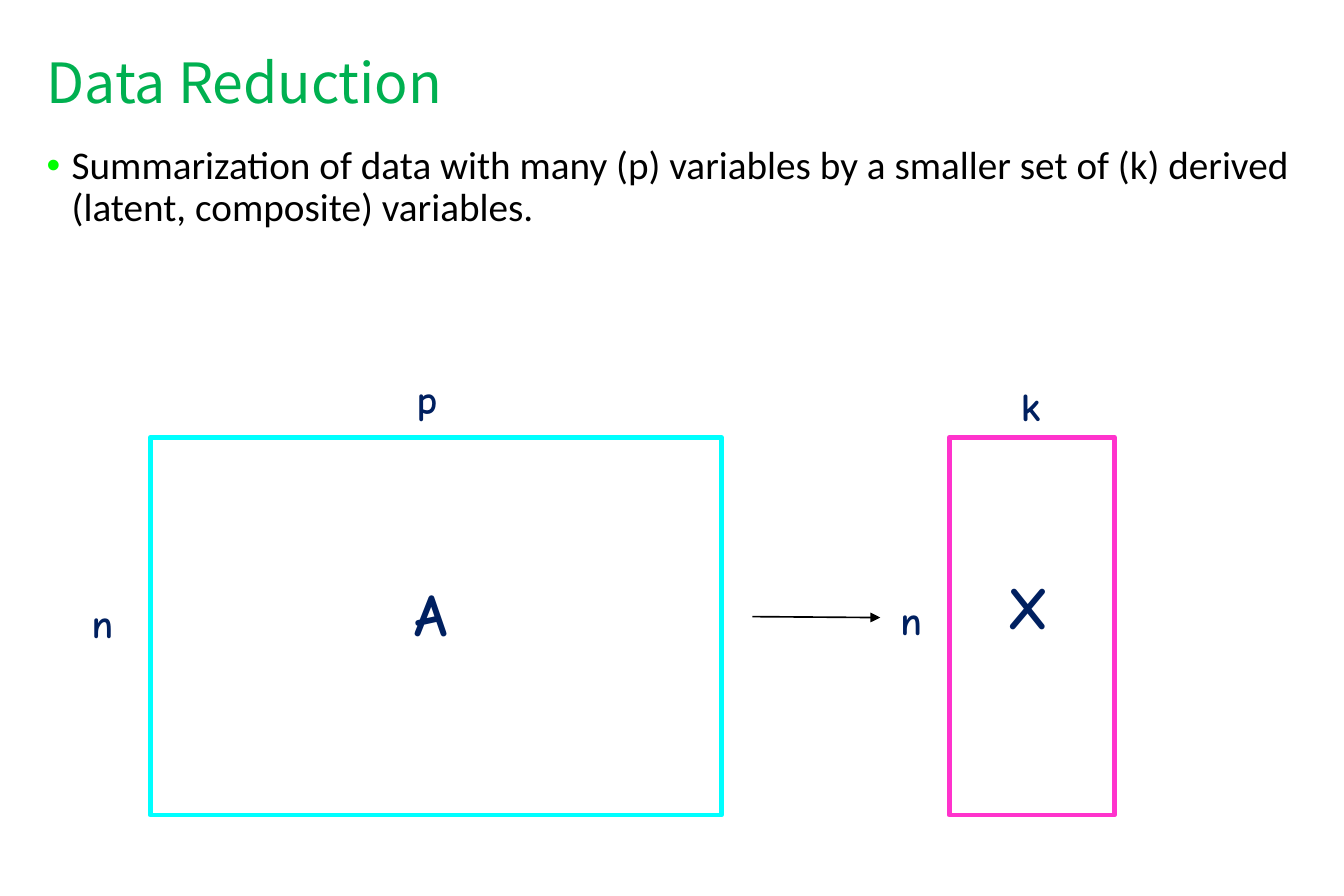
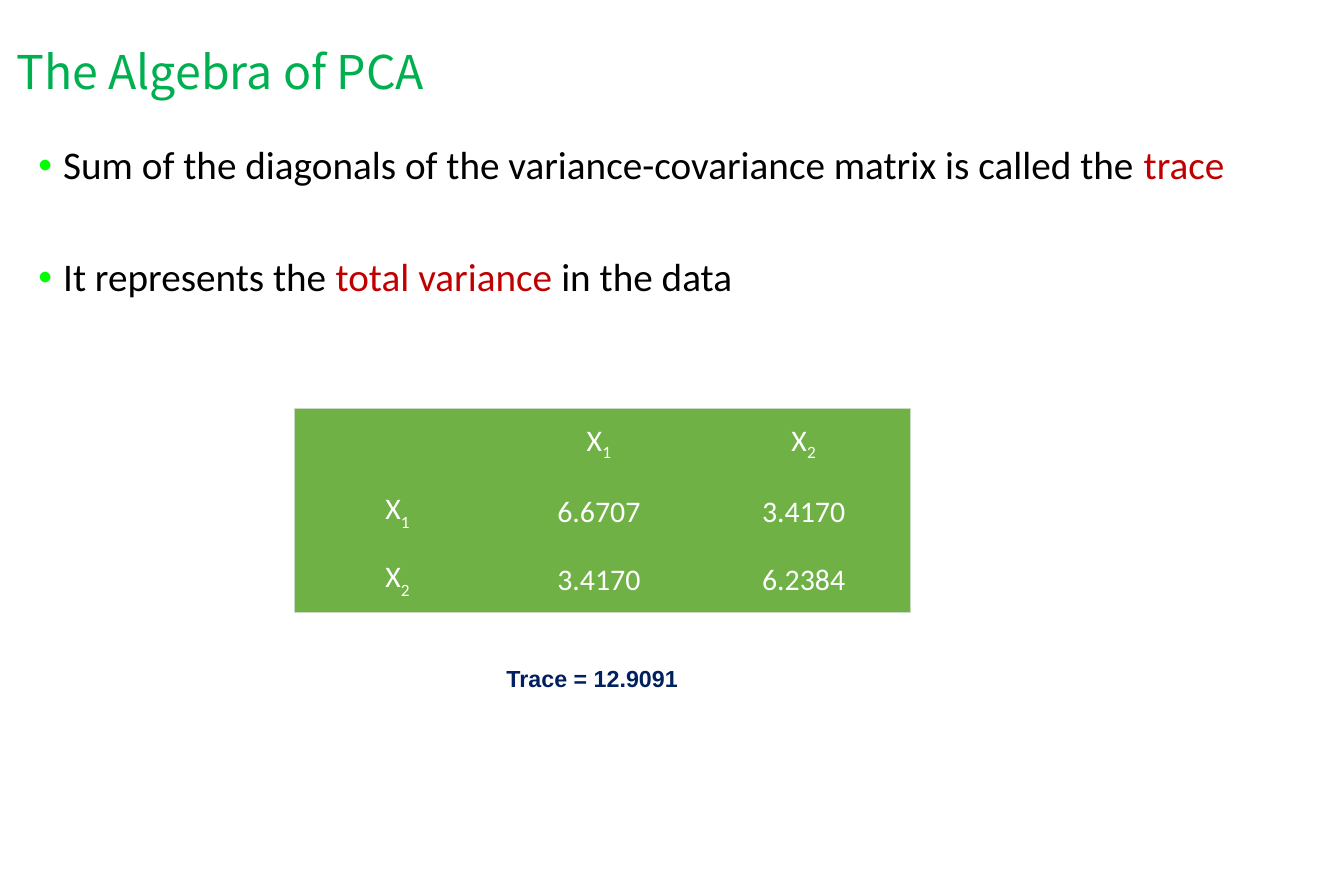
"""Build two slides on data reduction and the algebra of PCA."""
from lxml.etree import SubElement
from pptx import Presentation
from pptx.dml.color import RGBColor
from pptx.enum.shapes import MSO_CONNECTOR as Connector, MSO_SHAPE as Shape
from pptx.enum.text import MSO_ANCHOR as Anchor, MSO_AUTO_SIZE as AutoSize, PP_ALIGN as Align
from pptx.oxml import parse_xml
from pptx.oxml.ns import nsdecls, qn
from pptx.util import Cm, Pt

COLORS = {
    "title": "00B050", "bullet": "00FF00", "text": "000000", "accent": "C00000",
    "label": "002060", "data": "00FFFF", "reduced": "FF33CC",
    "table": "6FB145", "table_text": "FFFFFF", "table_edge": "C9DBC1",
}
TITLE_FONT, BODY_FONT, LABEL_FONT = "Noto Sans CJK TC", "Calibri", "Comic Neue"
BODY_SIZE = 23.6
PLAIN_TABLE = "{2D5ABB26-0587-4C30-8999-92F81FD0307C}"


def rgb(name):
    return RGBColor.from_string(COLORS[name])


def place(shape, box):
    shape.left, shape.top, shape.width, shape.height = (Cm(length) for length in box)


def add_run(paragraph, text, font, size, color, bold=False, baseline=0):
    run = paragraph.add_run()
    run.text = text
    run.font.name, run.font.size, run.font.bold = font, Pt(size), bold
    run.font.color.rgb = rgb(color)
    if baseline:
        run._r.get_or_add_rPr().set("baseline", str(baseline))


def set_title(slide, text, box, size):
    title = slide.shapes.title
    place(title, box)
    frame = title.text_frame
    frame.auto_size, frame.vertical_anchor = AutoSize.NONE, Anchor.MIDDLE
    paragraph = frame.paragraphs[0]
    paragraph.alignment, paragraph.line_spacing = Align.LEFT, 0.9
    add_run(paragraph, text, TITLE_FONT, size, "title")


def format_bullet(paragraph, space_before):
    paragraph.line_spacing, paragraph.space_before = 0.9, Pt(space_before)
    props = paragraph._p.get_or_add_pPr()
    props.set("marL", str(Cm(0.53)))
    props.set("indent", str(-Cm(0.53)))
    color = SubElement(props, qn("a:buClr"))
    SubElement(color, qn("a:srgbClr"), val=COLORS["bullet"])
    SubElement(props, qn("a:buFont"), typeface="Arial")
    SubElement(props, qn("a:buChar"), char="•")


def set_bullets(slide, bullets, box, gap=8.4):
    body = slide.placeholders[1]
    place(body, box)
    frame = body.text_frame
    frame.auto_size = AutoSize.NONE
    for index, parts in enumerate(bullets):
        paragraph = frame.add_paragraph() if index else frame.paragraphs[0]
        format_bullet(paragraph, gap if index else 8.4)
        for text, color in parts:
            add_run(paragraph, text, BODY_FONT, BODY_SIZE, color)


def add_label(shapes, text, box, size, font=LABEL_FONT):
    label = shapes.add_textbox(*(Cm(length) for length in box))
    frame = label.text_frame
    frame.word_wrap, frame.auto_size = False, AutoSize.SHAPE_TO_FIT_TEXT
    add_run(frame.paragraphs[0], text, font, size, "label", bold=True)


def add_matrix(slide, left, width, color, name, rows, columns):
    """Add an outlined matrix; name, rows and columns are (text, left, top)."""
    group = slide.shapes.add_group_shape()
    outline = group.shapes.add_shape(
        Shape.RECTANGLE, Cm(left), Cm(9.3), Cm(width), Cm(8.03))
    outline.shadow.inherit = False
    outline.fill.background()
    outline.line.color.rgb, outline.line.width = rgb(color), Pt(3)
    for text, x, y in (rows, columns):
        add_label(group.shapes, text, (x, y, 0.97, 1.3), 24)
    text, x, y = name
    add_label(group.shapes, text, (x, y, 1.45, 1.8), 36)


def add_arrow(slide, *ends):
    arrow = slide.shapes.add_connector(Connector.STRAIGHT, *(Cm(end) for end in ends))
    arrow.line.color.rgb, arrow.line.width = rgb("text"), Pt(1)
    SubElement(arrow.line._get_or_add_ln(), qn("a:tailEnd"), type="triangle")
    SubElement(arrow._element.spPr, qn("a:effectLst"))


def set_borders(cell, sides):
    props = cell._tc.get_or_add_tcPr()
    for index, side in enumerate(sides):
        props.insert(index, parse_xml(
            f'<a:ln{side} {nsdecls("a")} w="{Pt(0.5)}"><a:solidFill>'
            f'<a:srgbClr val="{COLORS["table_edge"]}"/></a:solidFill></a:ln{side}>'))


def add_table(slide, rows, left, top, widths, heights):
    """Add a table with an outer border; each cell is (text, subscript, baseline)."""
    frame = slide.shapes.add_table(
        len(heights), len(widths), Cm(left), Cm(top), Cm(sum(widths)), Cm(sum(heights)))
    table = frame.table
    table.first_row = table.horz_banding = False
    table._tbl.tblPr.find(qn("a:tableStyleId")).text = PLAIN_TABLE
    for column, width in zip(table.columns, widths):
        column.width = Cm(width)
    for row, height in zip(table.rows, heights):
        row.height = Cm(height)
    last_row, last_column = len(heights) - 1, len(widths) - 1
    for r, row in enumerate(rows):
        for c, (text, subscript, baseline) in enumerate(row):
            cell = table.cell(r, c)
            cell.fill.solid()
            cell.fill.fore_color.rgb = rgb("table")
            cell.vertical_anchor = Anchor.MIDDLE
            paragraph = cell.text_frame.paragraphs[0]
            paragraph.alignment = Align.CENTER
            for part, shift in ((text, 0), (subscript, baseline)):
                if part:
                    add_run(paragraph, part, BODY_FONT, 18, "table_text", baseline=shift)
            edges = {"L": c == 0, "R": c == last_column, "T": r == 0, "B": r == last_row}
            set_borders(cell, [side for side, outer in edges.items() if outer])


def build_reduction(slide):
    set_title(slide, "Data Reduction", (0.74, 1.07, 25.7, 1.5), 33.4)
    summary = ("Summarization of data with many (p) variables by a smaller set of (k) "
               "derived (latent, composite) variables.")
    set_bullets(slide, [[(summary, "text")]], (0.74, 2.97, 27.03, 2.26))
    add_arrow(slide, 16, 13.11, 18.72, 13.13)
    add_matrix(slide, 3.2, 12.14, "data",
               ("A", 8.56, 12.14), ("n", 1.7, 12.6), ("p", 8.61, 7.85))
    add_matrix(slide, 20.19, 3.51, "reduced",
               ("X", 21.18, 11.99), ("n", 18.9, 12.55), ("k", 21.46, 7.98))


def build_algebra(slide):
    set_title(slide, "The Algebra of PCA", (0.1, 0.64, 28.02, 1.9), 28)
    bullets = [
        [("Sum of the diagonals of the variance-covariance matrix is called the ", "text"),
         ("trace", "accent")],
        [("It represents the ", "text"), ("total variance", "accent"),
         (" in the data", "text")],
    ]
    set_bullets(slide, bullets, (0.56, 2.97, 26.85, 3.61), gap=42)
    variables = ("1", "2")
    covariances = (("6.6707", "3.4170"), ("3.4170", "6.2384"))
    rows = [[("", "", 0)] + [("X", number, -25000) for number in variables]]
    for number, values in zip(variables, covariances):
        rows.append([("X", number, -30000)] + [(value, "", 0) for value in values])
    add_table(slide, rows, 6.27, 8.69, (4.37, 4.19, 4.52), (1.47, 1.47, 1.4))
    add_label(slide.shapes, "Trace = 12.9091", (10.52, 14, 4.17, 0.86), 14, "Arial")


def main():
    deck = Presentation()
    deck.slide_width, deck.slide_height = Cm(28.58), Cm(19.05)
    for build in (build_reduction, build_algebra):
        build(deck.slides.add_slide(deck.slide_layouts[1]))
    deck.save("out.pptx")


if __name__ == "__main__":
    main()
